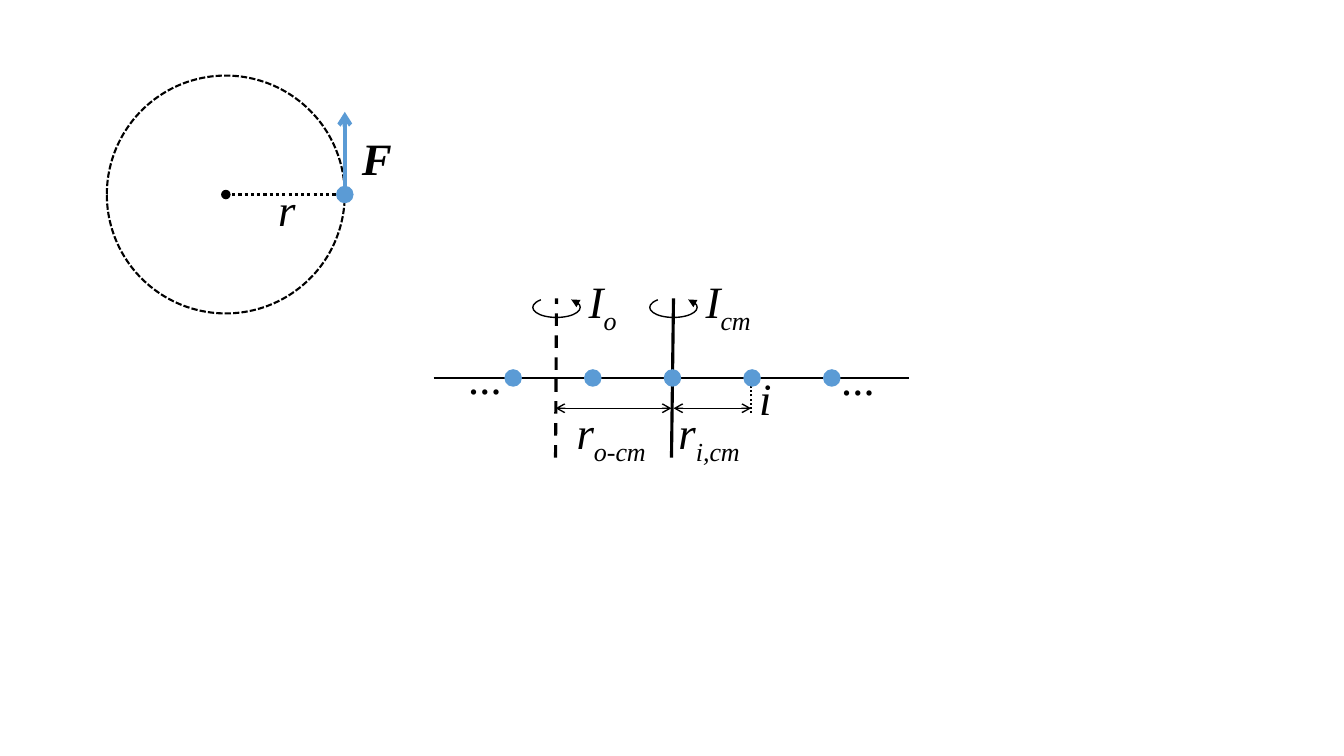
from pptx import Presentation
from pptx.dml.color import RGBColor
from pptx.enum.dml import MSO_LINE
from pptx.enum.shapes import MSO_CONNECTOR, MSO_SHAPE
from pptx.enum.text import MSO_AUTO_SIZE, PP_ALIGN
from pptx.oxml.ns import qn
from pptx.util import Inches, Pt
from lxml import etree

OVAL, ARC = MSO_SHAPE.OVAL, MSO_SHAPE.ARC
DASH, DOT, FINE = MSO_LINE.DASH, MSO_LINE.ROUND_DOT, MSO_LINE.SQUARE_DOT
STRAIGHT = MSO_CONNECTOR.STRAIGHT
FIT, MID = MSO_AUTO_SIZE.SHAPE_TO_FIT_TEXT, PP_ALIGN.CENTER

THEME = {"ink": RGBColor(0, 0, 0), "bead": RGBColor(0x5B, 0x9B, 0xD5),
         "font": "Times New Roman", "size": 32,
         "thin": 1, "mid": 1.5, "bold": 2.25, "force": 3}

# Labels: main text, subscript, left, top, width
ORBIT = [("r", "", 2.66, 1.75, 0.38), ("F", "", 3.49, 1.25, 0.5)]
ROD = [("I", "cm", 6.9, 2.67, 0.7), ("I", "o", 5.74, 2.67, 0.5),
       ("r", "o-cm", 5.62, 3.97, 0.96), ("r", "i,cm", 6.63, 3.97, 0.88),
       ("i", "", 7.43, 3.63, 0.33),
       ("...", "", 8.25, 3.43, 0.54), ("...", "", 4.55, 3.42, 0.54)]

HUB_X, HUB_Y, RADIUS = 2.24, 1.93, 1.18
ROD_Y, STEP, BEAD = 3.75, 0.79, 0.16
MASS_X = 6.67                                   # centre of mass
BEADS = [MASS_X + STEP * n for n in range(-2, 3)]
SPAN_Y = 4.05
AXES = [(5.51, 5.52, DASH), (6.66, 6.68, None)]  # foot x, head x, dash
AXIS_TOP, AXIS_END = 2.96, 4.54
SPANS = [(5.51, 6.66), (6.68, 7.45)]
TURN_W, TURN_H, TURN = 0.47, 0.2, (199.06, 123.55)


def tip(line, **ends):
    """Add arrowheads, given as headEnd and tailEnd, to a line."""
    props = line.line._get_or_add_ln()
    for end in ("headEnd", "tailEnd"):
        if end in ends:
            etree.SubElement(props, qn("a:" + end), type=ends[end])


def stroke(shape, color, width, dash=None):
    """Set the colour, width and dash of an outline."""
    shape.line.color.rgb = THEME[color]
    shape.line.width = Pt(THEME[width])
    if dash:
        shape.line.dash_style = dash


def line(home, x1, y1, x2, y2, width="thin", color="ink", dash=None, **ends):
    """Draw a straight line with optional arrowheads."""
    part = home.add_connector(STRAIGHT, *map(Inches, (x1, y1, x2, y2)))
    etree.SubElement(part._element.spPr, qn("a:effectLst"))
    stroke(part, color, width, dash)
    tip(part, **ends)


def figure(home, kind, x, y, wide, high, fill=None, color="ink",
           width="thin", dash=None):
    """Draw a preset shape centred on a point."""
    part = home.add_shape(kind, Inches(x - wide / 2), Inches(y - high / 2),
                          Inches(wide), Inches(high))
    part.shadow.inherit = False
    if fill:
        part.fill.solid()
        part.fill.fore_color.rgb = THEME[fill]
    else:
        part.fill.background()
    stroke(part, color, width, dash)
    return part


def bead(home, x, y):
    """Draw one point mass."""
    figure(home, OVAL, x, y, BEAD, BEAD, "bead", "bead")


def label(home, text, sub, x, y, wide):
    """Write an italic symbol with an optional subscript."""
    box = home.add_textbox(*map(Inches, (x, y, wide, 0.64)))
    frame = box.text_frame
    frame.word_wrap = False
    frame.auto_size = FIT
    para = frame.paragraphs[0]
    para.text = text
    if sub:
        para.add_run().text = sub
    if text == "...":
        para.alignment = MID
    for run in para.runs:
        font = run.font
        font.name, font.size = THEME["font"], Pt(THEME["size"])
        font.italic = True
        font.color.rgb = THEME["ink"]
        if text == "F":
            font.bold = True
    if sub:
        para.runs[1].font._element.set("baseline", "-25000")


def orbit(home):
    """Draw the mass on its circle, with radius and force."""
    rim = HUB_X + RADIUS
    figure(home, OVAL, HUB_X, HUB_Y, 2 * RADIUS, 2 * RADIUS,
           width="mid", dash=FINE)
    figure(home, OVAL, HUB_X, HUB_Y, BEAD / 2, BEAD / 2, "ink")
    line(home, HUB_X, HUB_Y, rim, HUB_Y, "bold", dash=DOT)
    bead(home, rim, HUB_Y)
    for item in ORBIT:
        label(home, *item)
    line(home, rim, HUB_Y, rim, 1.11, "force", "bead", tailEnd="arrow")


def rod(home):
    """Draw the row of masses with its two axes of rotation."""
    mark = SPANS[1][1]
    line(home, mark, 4.1, mark, 3.83, "mid", dash=DOT)
    for foot, head, dash in AXES:
        line(home, foot, AXIS_END, head, AXIS_TOP, "bold", dash=dash)
        turn = figure(home, ARC, head, AXIS_TOP + 0.09, TURN_W, TURN_H)
        turn.adjustments[0], turn.adjustments[1] = TURN
        tip(turn, headEnd="triangle")
    line(home, 4.3, ROD_Y, 9.02, ROD_Y)
    for x in BEADS:
        bead(home, x, ROD_Y)
    for start, stop in SPANS:
        line(home, start, SPAN_Y, stop, SPAN_Y,
             headEnd="arrow", tailEnd="arrow")
    for item in ROD:
        label(home, *item)


deck = Presentation()
deck.slide_width, deck.slide_height = Inches(13.33), Inches(7.5)
slide = deck.slides.add_slide(deck.slide_layouts[6])
rod(slide.shapes)
orbit(slide.shapes.add_group_shape().shapes)
deck.save("out.pptx")
